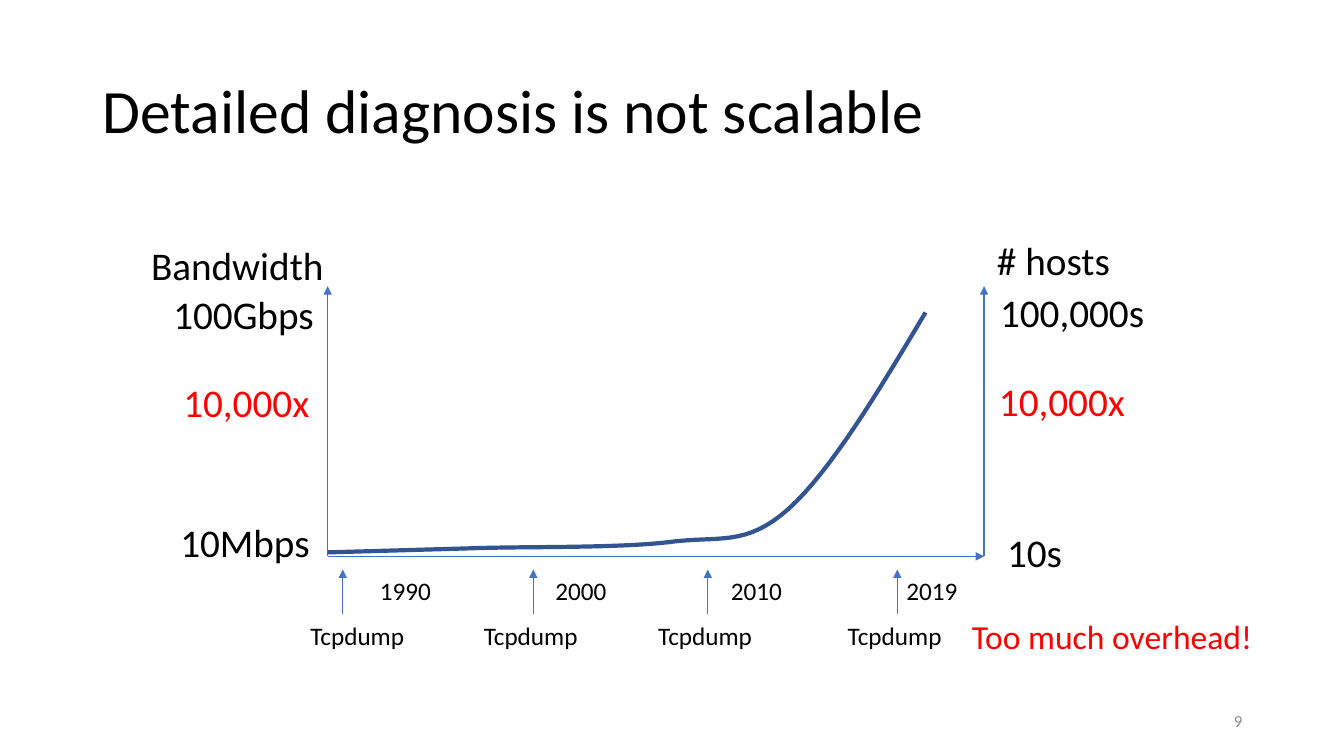
import pptx
import pptx.util
import pptx.dml.color
import pptx.enum.shapes
import pptx.enum.text
import pptx.oxml
import pptx.oxml.ns

RGB = pptx.dml.color.RGBColor
BLACK = RGB(0, 0, 0)
RED = RGB(0xFF, 0, 0)
GRAY = RGB(0x8C, 0x8C, 0x8C)
BLUE = RGB(0x44, 0x72, 0xC4)
NAVY = RGB(0x32, 0x54, 0x91)
FONT = "Calibri"

# One grid unit is an inch; the slide is 13.33 columns by 7.5 rows.
UNIT = pptx.util.Inches
PLOT = (3.25, 2.84, 6.51, 2.68)
YEARS = ["1990", "2000", "2010", "2019"]
YEAR_STEP = 1.74

# Offsets from the plot's left edge: (label, arrow)
TOOLS = [(-0.27, 0.15), (1.45, 2.04), (3.18, 3.77), (5.06, 5.65)]

# Offsets from the plot's top left: text, x, y, width, colour
LEFT = [
    ("Bandwidth", -1.85, -0.5, 1.93, BLACK),
    ("100Gbps", -1.63, -0.01, 1.61, BLACK),
    ("10,000x", -1.53, 0.86, 1.47, RED),
    ("10Mbps", -1.56, 2.25, 1.5, BLACK),
]
# Offsets from the plot's top right
RIGHT = [
    ("# hosts", 0.03, -0.54, 1.34, BLACK),
    ("100,000s", 0.06, -0.03, 1.65, BLACK),
    ("10,000x", 0.05, 0.85, 1.47, RED),
    ("10s", 0.13, 2.35, 0.76, BLACK),
]

# Growth curve: start, then the control points of each cubic piece
START = (0, 2.64)
BEND = (1.41, 2.6)
CUBICS = [
    [(1.97, 2.58), (2.84, 2.6), (3.37, 2.54)],
    [(3.89, 2.47), (4.14, 2.59), (4.57, 2.21)],
    [(4.99, 1.83), (5.46, 1.05), (5.93, 0.26)],
]
STEPS = 16


def write(slide, text, box, size, color=BLACK, wrap=False):
    shape = slide.shapes.add_textbox(*[UNIT(v) for v in box])
    frame = shape.text_frame
    frame.word_wrap = wrap
    frame.text = text
    para = frame.paragraphs[0]
    para.font.name = FONT
    para.font.size = pptx.util.Pt(size)
    para.font.color.rgb = color
    return frame


def arrow(slide, x1, y1, x2, y2, width):
    line = slide.shapes.add_connector(
        pptx.enum.shapes.MSO_CONNECTOR.STRAIGHT,
        UNIT(x1), UNIT(y1), UNIT(x2), UNIT(y2))
    line.line.color.rgb = BLUE
    line.line.width = pptx.util.Pt(width)
    tail = pptx.oxml.parse_xml(
        '<a:tailEnd %s type="triangle"/>' % pptx.oxml.ns.nsdecls("a"))
    line.line._get_or_add_ln().append(tail)
    props = line._element.spPr
    props.append(pptx.oxml.parse_xml(
        "<a:effectLst %s/>" % pptx.oxml.ns.nsdecls("a")))


def cubic(a, b, c, d):
    """Points along a cubic curve after its first point."""
    for step in range(1, STEPS + 1):
        t = step / STEPS
        u = 1 - t
        yield tuple(
            u**3 * p + 3 * u * u * t * q + 3 * u * t * t * r + t**3 * s
            for p, q, r, s in zip(a, b, c, d))


def draw_curve(slide, box):
    left, top = box[:2]
    points = [BEND]
    for piece in CUBICS:
        points.extend(cubic(points[-1], *piece))
    spots = [(UNIT(left + x), UNIT(top + y)) for x, y in [START] + points]
    pen = slide.shapes.build_freeform(*spots[0])
    pen.add_line_segments(spots[1:], close=False)
    curve = pen.convert_to_shape()
    curve.shadow.inherit = False
    curve.fill.background()
    curve.line.color.rgb = NAVY
    curve.line.width = pptx.util.Pt(3)


def draw_plot(slide, box):
    left, top, width, height = box
    right, base = left + width, top + height
    arrow(slide, left, base, right, base, 1)
    for edge, labels in ((left, LEFT), (right, RIGHT)):
        arrow(slide, edge, base, edge, top, 1)
        for text, x, y, wide, color in labels:
            write(slide, text, (edge + x, top + y, wide, 0.57), 28, color)
    draw_curve(slide, box)


def draw_times(slide, box):
    """Years and tool marks under the plot."""
    left, top, width, height = box
    base = top + height
    for i, (year, (label, mark)) in enumerate(zip(YEARS, TOOLS)):
        x = left + 0.42 + i * YEAR_STEP
        write(slide, year, (x, base + 0.14, 0.71, 0.4), 18)
        write(slide, "Tcpdump", (left + label, base + 0.58, 1.14, 0.4), 18)
        arrow(slide, left + mark, base + 0.57, left + mark, base + 0.13, 0.5)
    write(slide, "Too much overhead!",
          (left + width - 0.22, base + 0.54, 3.01, 0.5), 24, RED)


def draw_title(slide, box):
    frame = write(slide, "Detailed diagnosis is not scalable", box, 44, wrap=True)
    frame.vertical_anchor = pptx.enum.text.MSO_ANCHOR.MIDDLE
    frame.paragraphs[0].line_spacing = 0.9


def draw_number(slide, box):
    frame = write(slide, "9", box, 12, GRAY, wrap=True)
    frame.vertical_anchor = pptx.enum.text.MSO_ANCHOR.MIDDLE
    frame.paragraphs[0].alignment = pptx.enum.text.PP_ALIGN.RIGHT


def main():
    deck = pptx.Presentation()
    deck.slide_width = UNIT(13.33)
    deck.slide_height = UNIT(7.5)
    slide = deck.slides.add_slide(deck.slide_layouts[6])
    draw_title(slide, (0.92, 0.4, 11.5, 1.45))
    draw_plot(slide, PLOT)
    draw_times(slide, PLOT)
    draw_number(slide, (9.42, 6.95, 3, 0.4))
    deck.save("out.pptx")


if __name__ == "__main__":
    main()
